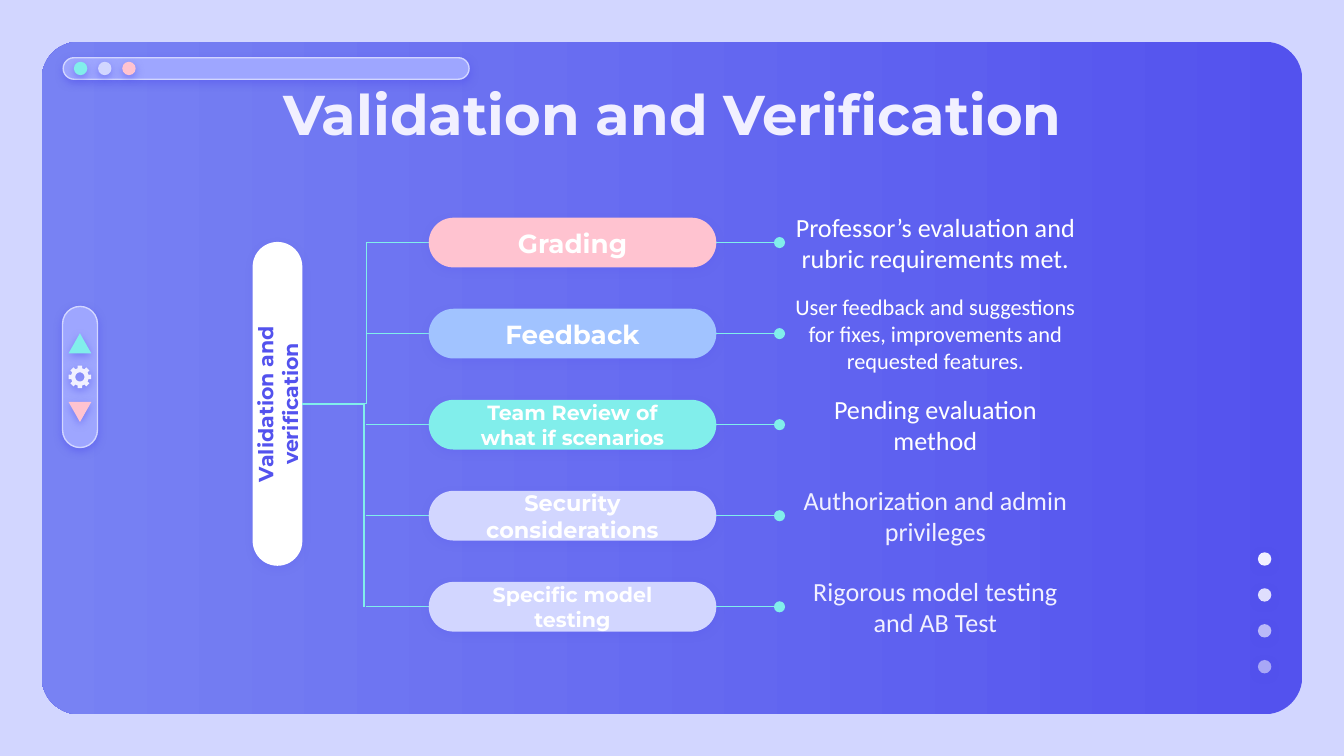
import math

import pptx
import pptx.dml.color
import pptx.enum.dml
import pptx.enum.shapes
import pptx.enum.text
import pptx.oxml
import pptx.oxml.ns
import pptx.util
from lxml import etree

SLIDE_WIDTH = pptx.util.Inches(10)
SLIDE_HEIGHT = pptx.util.Inches(5.625)
COLUMNS = 100
GRID = SLIDE_WIDTH / COLUMNS
ROWS = SLIDE_HEIGHT / GRID

INDIGO, VIOLET, PERIWINKLE = "5352EE", "7882F3", "9EA6FF"
LAVENDER, PALE, WHITE = "D2D6FF", "F1F0FF", "FFFFFF"
AQUA, PINK, SKY = "81EEEB", "FFC3D0", "A1C3FF"

SHAPES = pptx.enum.shapes.MSO_SHAPE
CONNECTORS = pptx.enum.shapes.MSO_CONNECTOR
ANCHORS = pptx.enum.text.MSO_ANCHOR

TOPICS = [
    ("Grading", 14, PINK, "Professor’s evaluation and rubric requirements met.", 14, WHITE),
    ("Feedback", 14, SKY,
     "User feedback and suggestions for fixes, improvements and requested features.", 12, WHITE),
    ("Team Review of what if scenarios", 11, AQUA, "Pending evaluation method", 14, WHITE),
    ("Security considerations", 12, LAVENDER, "Authorization and admin privileges", 14, PALE),
    ("Specific model testing", 11, LAVENDER, "Rigorous model testing and AB Test", 14, PALE),
]


def color(value):
    return pptx.dml.color.RGBColor.from_string(value)


def units(*lengths):
    return [round(length * GRID) for length in lengths]


def within(box, left, top, width, height):
    return box[0] + left, box[1] + top, width, height


def add_child(parent, tag, **attributes):
    child = etree.SubElement(parent, pptx.oxml.ns.qn(tag))
    for name, value in attributes.items():
        child.set(name, str(value))
    return child


def cast_shadow(shape, opacity):
    shape.shadow.inherit = False
    effects = shape._element.spPr.find(pptx.oxml.ns.qn("a:effectLst"))
    shadow = add_child(effects, "a:outerShdw", blurRad=pptx.util.Pt(4.5),
                       dist=pptx.util.Pt(1.5), dir=5400000, algn="bl", rotWithShape=0)
    tint = add_child(shadow, "a:srgbClr", val=INDIGO)
    add_child(tint, "a:alpha", val=opacity * 1000)


def paint(shape, fill, line=None, shadow=50, opacity=100):
    shape.fill.solid()
    shape.fill.fore_color.rgb = color(fill)
    if opacity < 100:
        tint = shape._element.spPr.find(".//" + pptx.oxml.ns.qn("a:srgbClr"))
        add_child(tint, "a:alpha", val=opacity * 1000)
    if line:
        shape.line.color.rgb = color(line)
        shape.line.width = pptx.util.Pt(0.75)
    else:
        shape.line.fill.background()
    cast_shadow(shape, shadow)


def draw(slide, kind, box, fill, rotation=0, **style):
    shape = slide.shapes.add_shape(kind, *units(*box))
    shape.rotation = rotation
    if kind == SHAPES.ROUNDED_RECTANGLE:
        shape.adjustments[0] = 0.5
    paint(shape, fill, **style)
    return shape


def write(shape, text, size=14, font="Calibri", fill=WHITE, bold=False, anchor=ANCHORS.MIDDLE):
    frame = shape.text_frame
    frame.word_wrap = True
    frame.auto_size = pptx.enum.text.MSO_AUTO_SIZE.NONE
    frame.vertical_anchor = anchor
    frame.margin_left = frame.margin_right = round(GRID)
    frame.margin_top = frame.margin_bottom = round(GRID)
    paragraph = frame.paragraphs[0]
    paragraph.alignment = pptx.enum.text.PP_ALIGN.CENTER
    run = paragraph.add_run()
    run.text = text
    run.font.size = pptx.util.Pt(size)
    run.font.name = font
    run.font.bold = bold
    run.font.color.rgb = color(fill)


def add_text(slide, box, text, rotation=0, **style):
    shape = slide.shapes.add_textbox(*units(*box))
    shape.rotation = rotation
    write(shape, text, **style)


def connect(slide, start, end, bent=False, dot=False):
    kind = CONNECTORS.ELBOW if bent else CONNECTORS.STRAIGHT
    connector = slide.shapes.add_connector(kind, *units(*start, *end))
    connector.line.color.rgb = color(AQUA)
    connector.line.width = pptx.util.Pt(0.75)
    properties = connector._element.spPr
    if bent:
        properties.find(pptx.oxml.ns.qn("a:prstGeom")).set("prst", "bentConnector2")
    if dot:
        add_child(connector.line._get_or_add_ln(), "a:tailEnd", type="oval")
    add_child(properties, "a:effectLst")


def add_window(slide, box):
    panel = draw(slide, SHAPES.ROUNDED_RECTANGLE, box, INDIGO)
    panel.shadow.inherit = False
    panel._element.spPr.find(pptx.oxml.ns.qn("a:effectLst")).clear()
    panel.adjustments[0] = 0.056
    panel.fill.gradient()
    panel.fill.gradient_angle = 180
    for stop, tint in zip(panel.fill.gradient_stops, (INDIGO, VIOLET)):
        stop.color.rgb = color(tint)
    draw(slide, SHAPES.ROUNDED_RECTANGLE, within(box, 1.6, 1.2, 30.2, 1.6), PERIWINKLE,
         line=LAVENDER)
    for index, opacity in enumerate((100, 89, 66, 54)):
        draw(slide, SHAPES.OVAL, within(box, 90.5, 38 + index * 2.67, 1, 1), PALE,
             opacity=opacity)
    for index, fill in enumerate((AQUA, LAVENDER, PINK)):
        draw(slide, SHAPES.OVAL, within(box, 2.4 + index * 1.8, 1.5, 1, 1), fill)


def add_title(slide, box, text):
    title = slide.shapes.title
    title._element.getparent().append(title._element)
    title.left, title.top, title.width, title.height = units(*box)
    write(title, text, size=30, font="Montserrat", fill=PALE, bold=True, anchor=ANCHORS.TOP)


def add_gear(slide, box):
    center = box[0] + box[2] / 2, box[1] + box[3] / 2
    outer = box[2] / 2

    def ring(polar_points):
        return [units(center[0] + radius * math.cos(math.radians(angle)),
                      center[1] + radius * math.sin(math.radians(angle)))
                for radius, angle in polar_points]

    tooth = ((1, -11), (1, 11), (0.78, 14), (0.78, 31))
    teeth = ring([(outer * share, turn + angle)
                  for turn in range(0, 360, 45) for share, angle in tooth])
    hole = ring([(outer * 0.4, angle) for angle in range(0, 360, 15)])
    builder = slide.shapes.build_freeform(*teeth[0])
    builder.add_line_segments(teeth[1:])
    builder.move_to(*hole[0])
    builder.add_line_segments(hole[1:])
    paint(builder.convert_to_shape(), PALE, shadow=52)


def add_toolbar(slide, box):
    left, top, width, height = box
    draw(slide, SHAPES.ROUNDED_RECTANGLE,
         (left + (width - height) / 2, top + (height - width) / 2, height, width),
         PERIWINKLE, rotation=90, line=LAVENDER)
    draw(slide, SHAPES.ISOSCELES_TRIANGLE, within(box, 0.45, 2, 1.7, 1.5), AQUA)
    draw(slide, SHAPES.ISOSCELES_TRIANGLE, within(box, 0.45, 7.1, 1.7, 1.5), PINK, rotation=180)
    add_gear(slide, within(box, 0.45, 4.4, 1.7, 1.7))


def add_pill(slide, box, text, size, fill, ink=WHITE, rotation=0):
    left, top, width, height = box
    draw(slide, SHAPES.ROUNDED_RECTANGLE, box, fill, rotation=rotation, shadow=18)
    label_width, label_height = 17.8, 2.1
    label = within(box, (width - label_width) / 2, (height - label_height) / 2,
                   label_width, label_height)
    add_text(slide, label, text, rotation=rotation, size=size, font="Montserrat",
             fill=ink, bold=True)


def add_topic(slide, box, label, label_size, fill, detail, detail_size, ink):
    middle = box[1] + box[3] / 2
    pill_left, pill_right, detail_left = box[0] + 4.7, box[0] + 26.1, box[0] + 30.8
    connect(slide, (box[0], middle), (pill_left, middle))
    add_pill(slide, within(box, 4.7, 0.9, 21.4, 3.7), label, label_size, fill)
    connect(slide, (pill_right, middle), (detail_left, middle), dot=True)
    add_text(slide, within(box, 30.8, 0, 23.2, 5.5), detail, size=detail_size, fill=ink)


def add_tree(slide, box, root, topics):
    left, top, width, height = box
    row_height = 5.5
    step = (height - row_height) / (len(topics) - 1)
    first, last = top + row_height / 2, top + height - row_height / 2
    add_pill(slide, within(box, -10.2, 12.9, 24.1, 3.7), root, 11, WHITE, INDIGO, 270)
    trunk = left + 3.7, top + 14.75
    connect(slide, trunk, (left + 8.45, first), bent=True)
    connect(slide, trunk, (left + 8.3, last), bent=True)
    for index, topic in enumerate(topics):
        row = within(box, 8.4, index * step, width - 8.4, row_height)
        add_topic(slide, row, *topic)


def main():
    presentation = pptx.Presentation()
    presentation.slide_width, presentation.slide_height = SLIDE_WIDTH, SLIDE_HEIGHT
    slide = presentation.slides.add_slide(presentation.slide_layouts[5])
    slide.background.fill.solid()
    slide.background.fill.fore_color.rgb = color(LAVENDER)
    margin = 3.1
    add_window(slide, (margin, margin, COLUMNS - 2 * margin, ROWS - 2 * margin))
    add_title(slide, (7.9, 4.9, 84.3, 6.3), "Validation and Verification")
    add_tree(slide, (18.8, 15.3, 62.4, 32.6), "Validation and verification", TOPICS)
    add_toolbar(slide, (4.65, 22.8, 2.6, 10.5))
    presentation.save("out.pptx")


if __name__ == "__main__":
    main()
